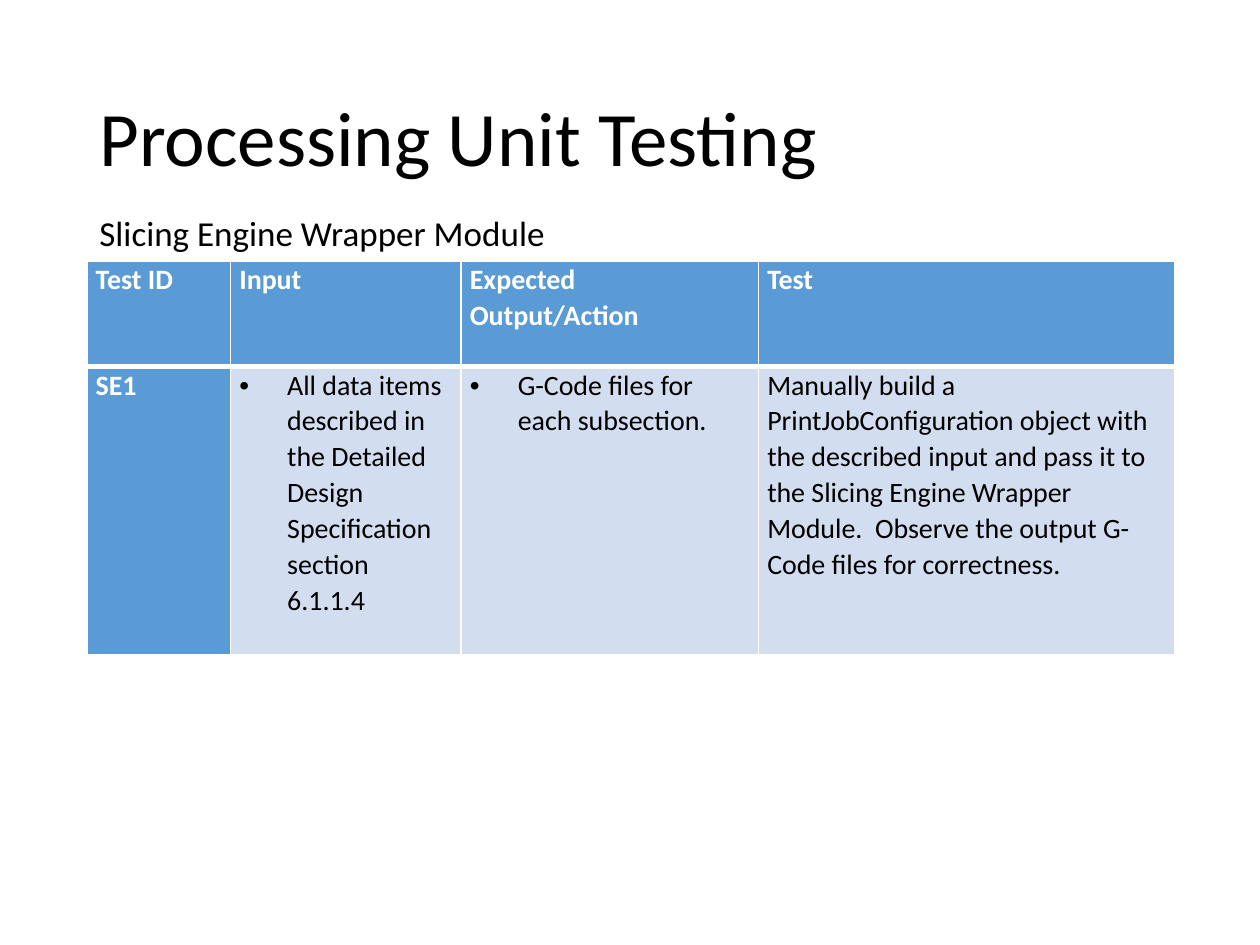
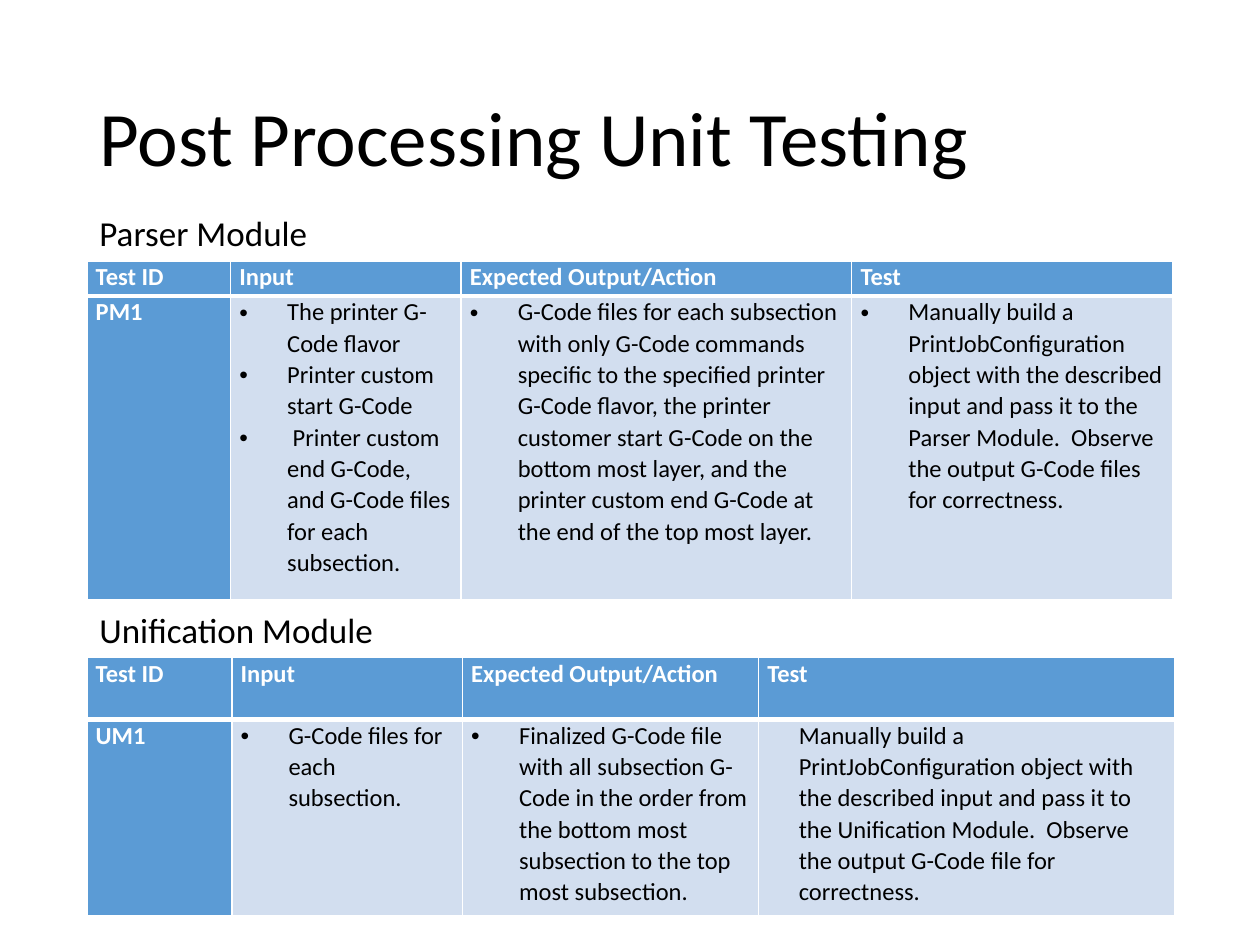
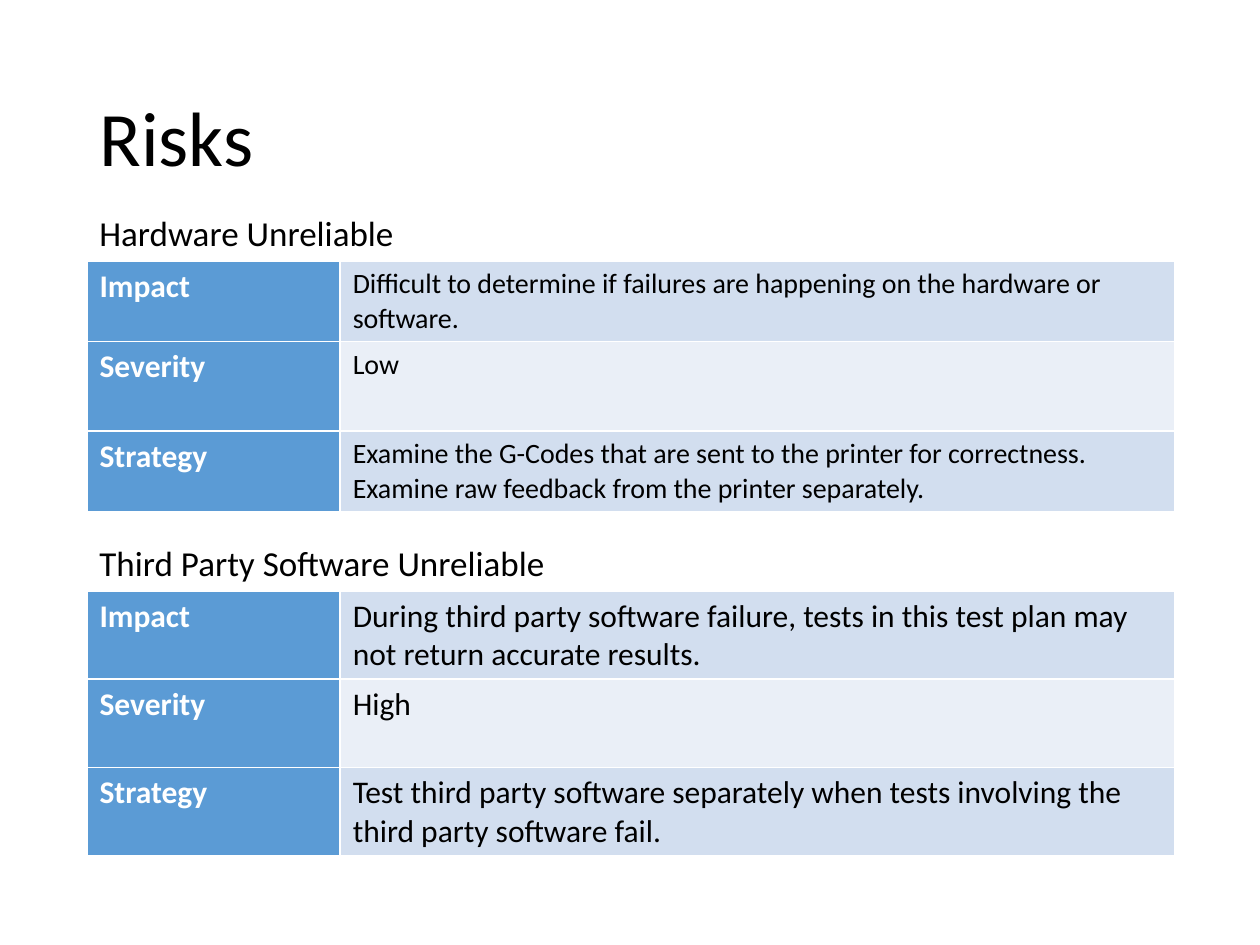
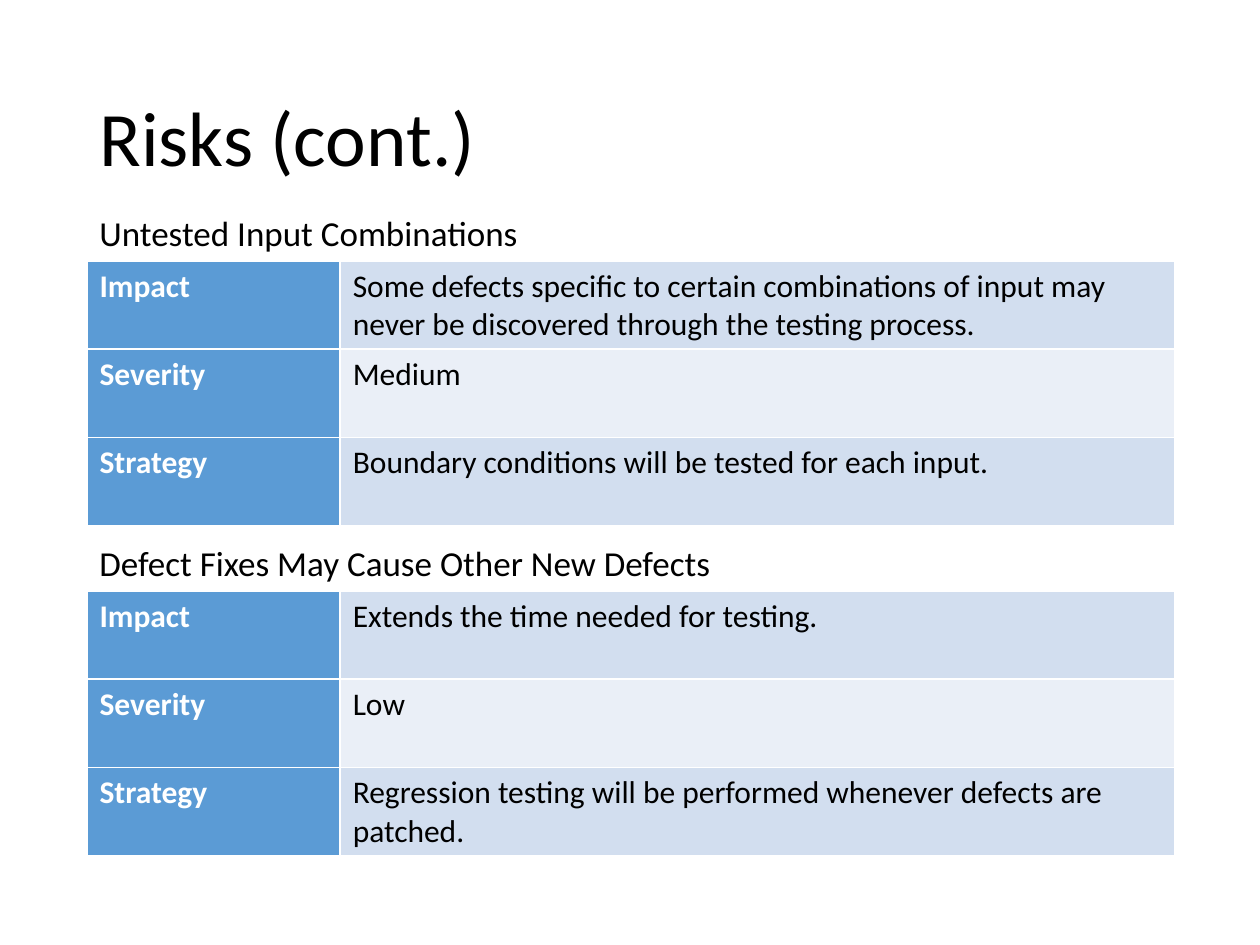
from dataclasses import dataclass
from typing import NamedTuple

from lxml.etree import SubElement
from pptx import Presentation
from pptx.dml.color import RGBColor
from pptx.enum.text import MSO_ANCHOR, PP_ALIGN
from pptx.oxml.ns import qn
from pptx.util import Inches, Pt


@dataclass(frozen=True)
class Theme:
    font: str = "Calibri"
    text: str = "000000"
    light: str = "FFFFFF"
    accent: str = "5B9BD5"
    bands: tuple[str, str] = ("D2DEEF", "EAEFF7")
    title_size: int = 44
    subtitle_size: int = 20
    risk_size: int = 18
    line: int = 1
    header_line: int = 3


THEME = Theme()
LEFT, WIDTH = 0.69, 8.62
FIRST_TOP = 2.07
SUBTITLE_HEIGHT = 0.44
BULLET_INDENT = 0.38
TEST_HEADINGS = ("Test ID", "Input", "Expected Output/Action", "Test")
RISK_HEADINGS = ("Impact", "Severity", "Strategy")
RISK_COLUMNS = (2.01, 6.62)


class Content(NamedTuple):
    lines: tuple[str, ...]
    bulleted: bool = False
    indent: float = 0


@dataclass(frozen=True)
class UnitTest:
    module: str
    top: float
    columns: tuple[float, ...]
    rows: tuple[float, ...]
    size: int
    test_id: str
    contents: tuple[Content, ...]


@dataclass(frozen=True)
class Risk:
    name: str
    top: float
    answers: tuple[str, str, str]
    rows: tuple[float, ...] = (0.7, 0.7, 0.7)
    size: int = THEME.risk_size


class Page(NamedTuple):
    title: str
    sections: tuple[UnitTest | Risk, ...]


def bullets(*lines: str) -> Content:
    return Content(lines, bulleted=True, indent=BULLET_INDENT)


def write_text(frame, *lines: str, size: int, color: str = THEME.text, bold: bool = False,
               align=PP_ALIGN.LEFT, spacing: float | None = None,
               bulleted: bool = False, indent: float = 0) -> None:
    for index, line in enumerate(lines):
        paragraph = frame.add_paragraph() if index else frame.paragraphs[0]
        if indent:
            properties = paragraph._p.get_or_add_pPr()
            properties.set("marL", str(Inches(indent)))
            properties.set("indent", str(-Inches(indent) if bulleted else 0))
            if bulleted:
                SubElement(properties, qn("a:buFont"), typeface="Arial")
                SubElement(properties, qn("a:buChar"), char="•")
        paragraph.alignment = align
        if spacing:
            paragraph.line_spacing = spacing
        run = paragraph.add_run()
        run.text = line
        run.font.name = THEME.font
        run.font.size = Pt(size)
        run.font.bold = bold
        run.font.color.rgb = RGBColor.from_string(color)


def add_label(slide, text: str, top: float, height: float, size: int,
              anchor=MSO_ANCHOR.TOP, spacing: float | None = None) -> None:
    box = slide.shapes.add_textbox(Inches(LEFT), Inches(top), Inches(WIDTH), Inches(height))
    box.text_frame.word_wrap = True
    box.text_frame.vertical_anchor = anchor
    write_text(box.text_frame, text, size=size, spacing=spacing)


def style_cell(cell, color: str, top_line: int = THEME.line,
               bottom_line: int = THEME.line) -> None:
    properties = cell._tc.get_or_add_tcPr()
    edges = {"L": THEME.line, "R": THEME.line, "T": top_line, "B": bottom_line}
    for edge, width in edges.items():
        line = SubElement(properties, qn(f"a:ln{edge}"), w=str(Pt(width)))
        SubElement(SubElement(line, qn("a:solidFill")), qn("a:srgbClr"), val=THEME.light)
    cell.fill.solid()
    cell.fill.fore_color.rgb = RGBColor.from_string(color)


def add_grid(slide, top: float, columns: tuple[float, ...], rows: tuple[float, ...]):
    table = slide.shapes.add_table(len(rows), len(columns), Inches(LEFT), Inches(top),
                                   Inches(WIDTH), Inches(sum(rows))).table
    table.horz_banding = False
    for column, width in zip(table.columns, columns):
        column.width = Inches(width)
    for row, height in zip(table.rows, rows):
        row.height = Inches(height)
    return table


def add_unit_test(slide, test: UnitTest) -> None:
    table = add_grid(slide, test.top, test.columns, test.rows)
    labels = tuple(Content((heading,)) for heading in TEST_HEADINGS)
    for row, contents in enumerate((labels, (Content((test.test_id,)), *test.contents))):
        for column, content in enumerate(contents):
            cell = table.cell(row, column)
            cell.margin_left = cell.margin_right = Inches(0.07)
            cell.margin_top = cell.margin_bottom = 0
            heading = row == 0 or column == 0
            if row == 0:
                style_cell(cell, THEME.accent, bottom_line=THEME.header_line)
            else:
                style_cell(cell, THEME.accent if heading else THEME.bands[0],
                           top_line=THEME.header_line)
            write_text(cell.text_frame, *content.lines, size=test.size,
                       color=THEME.light if heading else THEME.text, bold=heading,
                       align=PP_ALIGN.JUSTIFY if heading else PP_ALIGN.LEFT, spacing=1.05,
                       bulleted=content.bulleted, indent=content.indent)
    add_label(slide, test.module, test.top - SUBTITLE_HEIGHT, SUBTITLE_HEIGHT,
              THEME.subtitle_size)


def add_risk(slide, risk: Risk) -> None:
    table = add_grid(slide, risk.top, RISK_COLUMNS, risk.rows)
    table.first_row = False
    table.first_col = True
    for row, (heading, answer) in enumerate(zip(RISK_HEADINGS, risk.answers)):
        heading_cell, answer_cell = table.cell(row, 0), table.cell(row, 1)
        style_cell(heading_cell, THEME.accent)
        style_cell(answer_cell, THEME.bands[row % 2])
        write_text(heading_cell.text_frame, heading, size=THEME.risk_size,
                   color=THEME.light, bold=True)
        write_text(answer_cell.text_frame, answer, size=risk.size)
    add_label(slide, risk.name, risk.top - SUBTITLE_HEIGHT, SUBTITLE_HEIGHT,
              THEME.subtitle_size)


SECOND_RISK_TOP = 4.69
PAGES = (
    Page("Processing Unit Testing", (
        UnitTest(
            "Slicing Engine Wrapper Module", FIRST_TOP, (1.14, 1.83, 2.36, 3.3), (0.84, 2.29),
            16, "SE1", (
                bullets("All data items described in the Detailed Design Specification "
                        "section 6.1.1.4"),
                bullets("G-Code files for each subsection."),
                Content(("Manually build a PrintJobConfiguration object with the described "
                         "input and pass it to the Slicing Engine Wrapper Module.  Observe "
                         "the output G-Code files for correctness.",)),
            )),
    )),
    Page("Post Processing Unit Testing", (
        UnitTest(
            "Parser Module", FIRST_TOP, (1.14, 1.83, 3.1, 2.55), (0.28, 2.41), 14, "PM1", (
                bullets("The printer G-Code flavor",
                        "Printer custom start G-Code",
                        " Printer custom end G-Code, and G-Code files for each subsection."),
                bullets("G-Code files for each subsection with only G-Code commands specific "
                        "to the specified printer G-Code flavor, the printer customer start "
                        "G-Code on the bottom most layer, and the printer custom end G-Code "
                        "at the end of the top most layer."),
                bullets("Manually build a PrintJobConfiguration object with the described "
                        "input and pass it to the Parser Module.  Observe the output G-Code "
                        "files for correctness."),
            )),
        UnitTest(
            "Unification Module", 5.22, (1.15, 1.83, 2.35, 3.3), (0.49, 1.56), 14, "UM1", (
                bullets("G-Code files for each subsection."),
                bullets("Finalized G-Code file with all subsection G-Code in the order from "
                        "the bottom most subsection to the top most subsection."),
                Content(("Manually build a PrintJobConfiguration object with the described "
                         "input and pass it to the Unification Module.  Observe the output "
                         "G-Code file for correctness.",), indent=0.25),
            )),
    )),
    Page("Risks", (
        Risk("Hardware Unreliable", FIRST_TOP, (
            "Difficult to determine if failures are happening on the hardware or software.",
            "Low",
            "Examine the G-Codes that are sent to the printer for correctness.  "
            "Examine raw feedback from the printer separately.",
        ), rows=(0.64, 0.71, 0.64), size=16),
        Risk("Third Party Software Unreliable", SECOND_RISK_TOP, (
            "During third party software failure, tests in this test plan may not return "
            "accurate results.",
            "High",
            "Test third party software separately when tests involving the third party "
            "software fail.",
        )),
    )),
    Page("Risks (cont.)", (
        Risk("Untested Input Combinations", FIRST_TOP, (
            "Some defects specific to certain combinations of input may never be discovered "
            "through the testing process.",
            "Medium",
            "Boundary conditions will be tested for each input.",
        )),
        Risk("Defect Fixes May Cause Other New Defects", SECOND_RISK_TOP, (
            "Extends the time needed for testing.",
            "Low",
            "Regression testing will be performed whenever defects are patched.",
        )),
    )),
)


def main() -> None:
    presentation = Presentation()
    presentation.slide_width, presentation.slide_height = Inches(10), Inches(7.5)
    for page in PAGES:
        slide = presentation.slides.add_slide(presentation.slide_layouts[6])
        add_label(slide, page.title, 0.4, 1.45, THEME.title_size,
                  anchor=MSO_ANCHOR.MIDDLE, spacing=0.9)
        for section in page.sections:
            if isinstance(section, UnitTest):
                add_unit_test(slide, section)
            else:
                add_risk(slide, section)
    presentation.save("out.pptx")


if __name__ == "__main__":
    main()
